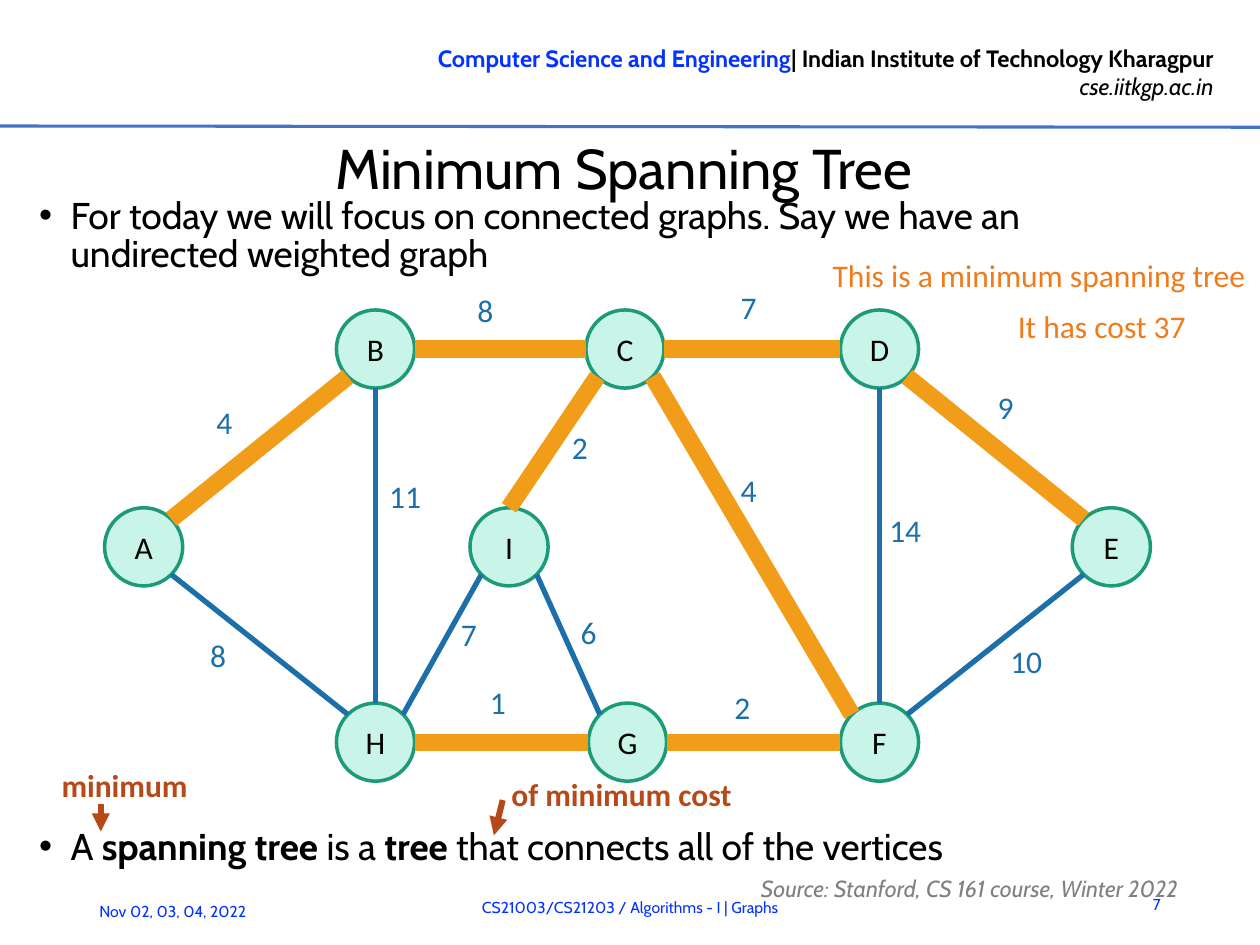
import math

import pptx
import pptx.dml.color
import pptx.enum.shapes
import pptx.enum.text
import pptx.util
from pptx.util import Inches
from lxml import etree

ALIGN = pptx.enum.text.PP_ALIGN
ANCHOR = pptx.enum.text.MSO_ANCHOR
DRAWING = "{http://schemas.openxmlformats.org/drawingml/2006/main}"
BLACK, BLUE, EDGE_BLUE = "000000", "0432FF", "1D6FA9"
TREE_ORANGE, NOTE_ORANGE, RUST = "F19D19", "F07B1A", "B74919"


def add_run(paragraph, text, size, color, font="Calibri", bold=False, italic=False):
    run = paragraph.add_run()
    run.text = text
    run.font.name = font
    run.font.size = pptx.util.Pt(size)
    run.font.bold = bold
    run.font.italic = italic
    run.font.color.rgb = pptx.dml.color.RGBColor.from_string(color)


def add_line(start, end, color, width):
    line = slide.shapes.add_connector(
        pptx.enum.shapes.MSO_CONNECTOR.STRAIGHT,
        *[Inches(value) for value in (*start, *end)])
    line.line.color.rgb = pptx.dml.color.RGBColor.from_string(color)
    line.line.width = pptx.util.Pt(width)
    etree.SubElement(line._element.spPr, DRAWING + "effectLst")
    return line


presentation = pptx.Presentation()
presentation.slide_width = Inches(10)
presentation.slide_height = Inches(7.5)
slide = presentation.slides.add_slide(presentation.slide_layouts[1])

# Header
header = slide.shapes.add_textbox(Inches(2.65), Inches(0.3), Inches(7.08), Inches(0.56))
header.text_frame.word_wrap = False
department = header.text_frame.paragraphs[0]
website = header.text_frame.add_paragraph()
department.alignment = website.alignment = ALIGN.RIGHT
add_run(department, "Computer Science and Engineering", 13.5, BLUE, "Cabin", bold=True)
add_run(department, "| Indian Institute of Technology Kharagpur", 13.5, BLACK, "Cabin", bold=True)
add_run(website, "cse.iitkgp.ac.in", 13.5, BLACK, "Cabin", italic=True)
add_line((0, 1), (10, 1.01), "4472C4", 1.75)

# Title
title = slide.shapes.title
title.left, title.top = Inches(0.32), Inches(1.05)
title.width, title.height = Inches(9.26), Inches(0.55)
frame = title.text_frame
frame.auto_size = pptx.enum.text.MSO_AUTO_SIZE.NONE
frame.vertical_anchor = ANCHOR.MIDDLE
frame.margin_left = frame.margin_right = frame.margin_bottom = 0
frame.margin_top = Inches(0.01)
frame.paragraphs[0].alignment = ALIGN.CENTER
add_run(frame.paragraphs[0], "Minimum Spanning Tree", 32, BLACK, "Cabin")

# Bullets above and below the graph: (space before, [(text, bold)])
bullets = [
    (0, [("For today we will focus on connected graphs. "
          "Say we have an undirected weighted graph", False)]),
    (315.9, [("A ", False), ("spanning tree", True), (" is a ", False), ("tree", True),
             (" that connects all of the vertices", False)]),
]
body = slide.placeholders[1]
body.left, body.top = Inches(0.21), Inches(1.53)
body.width, body.height = Inches(9.37), Inches(5.41)
body.text_frame.auto_size = pptx.enum.text.MSO_AUTO_SIZE.NONE
for index, (space, runs) in enumerate(bullets):
    paragraph = body.text_frame.add_paragraph() if index else body.text_frame.paragraphs[0]
    properties = paragraph._p.get_or_add_pPr()
    properties.set("marL", str(Inches(0.25)))
    properties.set("indent", str(Inches(-0.25)))
    paragraph.line_spacing = pptx.util.Pt(21.6)
    paragraph.space_before = pptx.util.Pt(space)
    paragraph.space_after = pptx.util.Pt(1.3)
    for text, bold in runs:
        add_run(paragraph, text, 21.3, BLACK, "Cabin", bold=bold)

# Footer and source: text, left, top, width, height, alignment, size, colour, italic
for text, left, top, width, height, alignment, size, color, italic in [
    ("7", 8.82, 6.98, 0.49, 0.4, ALIGN.RIGHT, 9, BLUE, False),
    ("Nov 02, 03, 04, 2022", 0.69, 7.03, 1.75, 0.4, ALIGN.LEFT, 9, BLUE, False),
    ("CS21003/CS21203 / Algorithms - I | Graphs", 1.65, 7, 6.7, 0.4,
     ALIGN.CENTER, 9, BLUE, False),
    ("Source: Stanford, CS 161 course, Winter 2022", 5.94, 6.9, 4.02, 0.23,
     ALIGN.LEFT, 13.3, "808080", True),
]:
    box = slide.shapes.add_textbox(Inches(left), Inches(top), Inches(width), Inches(height))
    box.text_frame.word_wrap = True
    box.text_frame.vertical_anchor = ANCHOR.MIDDLE
    paragraph = box.text_frame.paragraphs[0]
    paragraph.alignment = alignment
    if italic:
        paragraph.line_spacing = pptx.util.Pt(21.3)
    add_run(paragraph, text, size, color, "Cabin", italic=italic)

# Vertices, by centre
RADIUS = 0.31
vertices = {
    "A": (1.14, 4.34), "B": (2.98, 2.77), "C": (4.96, 2.77),
    "D": (6.98, 2.77), "E": (8.82, 4.34), "F": (6.98, 5.89),
    "G": (4.98, 5.89), "H": (2.98, 5.89), "I": (4.04, 4.34),
}
for name, (x, y) in vertices.items():
    circle = slide.shapes.add_shape(
        pptx.enum.shapes.MSO_SHAPE.OVAL, Inches(x - RADIUS), Inches(y - RADIUS),
        Inches(2 * RADIUS), Inches(2 * RADIUS))
    circle.shadow.inherit = False
    circle.fill.solid()
    circle.fill.fore_color.rgb = pptx.dml.color.RGBColor.from_string("C8F5E8")
    circle.line.color.rgb = pptx.dml.color.RGBColor.from_string("1D9A78")
    circle.line.width = pptx.util.Pt(2)
    circle.text_frame.vertical_anchor = ANCHOR.MIDDLE
    circle.text_frame.paragraphs[0].alignment = ALIGN.CENTER
    add_run(circle.text_frame.paragraphs[0], name, 18, BLACK)

# Edges: vertices, angles (clockwise from right) where they leave, weight,
# weight label position, whether in the spanning tree
edges = [
    ("CF", 45, 225, "4", 5.78, 3.69, True),
    ("CD", 0, 180, "7", 5.78, 2.24, True),
    ("ED", 225, 45, "9", 7.82, 3.03, True),
    ("EF", 135, 315, "10", 7.92, 5.05, False),
    ("DF", 90, 270, "14", 6.96, 4.01, False),
    ("IG", 45, 225, "6", 4.51, 4.82, False),
    ("GF", 0, 180, "2", 5.73, 5.41, True),
    ("IC", 270, 135, "2", 4.44, 3.35, True),
    ("BC", 0, 180, "8", 3.69, 2.26, True),
    ("AB", 315, 135, "4", 1.62, 3.15, True),
    ("AH", 45, 225, "8", 1.57, 5, False),
    ("GH", 180, 0, "1", 3.79, 5.37, True),
    ("IH", 135, 315, "7", 3.56, 4.83, False),
    ("HB", 270, 90, "11", 2.99, 3.74, False),
]
for ends, start_angle, end_angle, weight, left, top, in_tree in edges:
    points = []
    for name, angle in zip(ends, (start_angle, end_angle)):
        x, y = vertices[name]
        points.append((x + RADIUS * math.cos(math.radians(angle)),
                       y + RADIUS * math.sin(math.radians(angle))))
    add_line(*points, TREE_ORANGE if in_tree else EDGE_BLUE, 9.75 if in_tree else 3)

# Weights and notes
labels = [(weight, left, top, 0.86, 0.5, EDGE_BLUE, False)
          for ends, start_angle, end_angle, weight, left, top, in_tree in edges]
labels += [
    ("This is a minimum spanning tree", 6.51, 1.98, 3.49, 0.4, NOTE_ORANGE, False),
    ("It has cost 37", 7.98, 2.39, 1.67, 0.4, NOTE_ORANGE, False),
    ("minimum", 0.39, 6.03, 1.6, 0.4, RUST, True),
    ("of minimum cost", 3.96, 6.1, 2.69, 0.5, RUST, True),
]
for text, left, top, width, height, color, bold in labels:
    box = slide.shapes.add_textbox(Inches(left), Inches(top), Inches(width), Inches(height))
    box.text_frame.word_wrap = True
    add_run(box.text_frame.paragraphs[0], text, 18, color, bold=bold)

# Arrows from the notes to the definition
for start, end in [((0.8, 6.38), (0.8, 6.6)), ((3.99, 6.35), (3.92, 6.63))]:
    arrow = add_line(start, end, RUST, 3.5)
    etree.SubElement(arrow.line._get_or_add_ln(), DRAWING + "tailEnd", type="triangle")

presentation.save("out.pptx")
